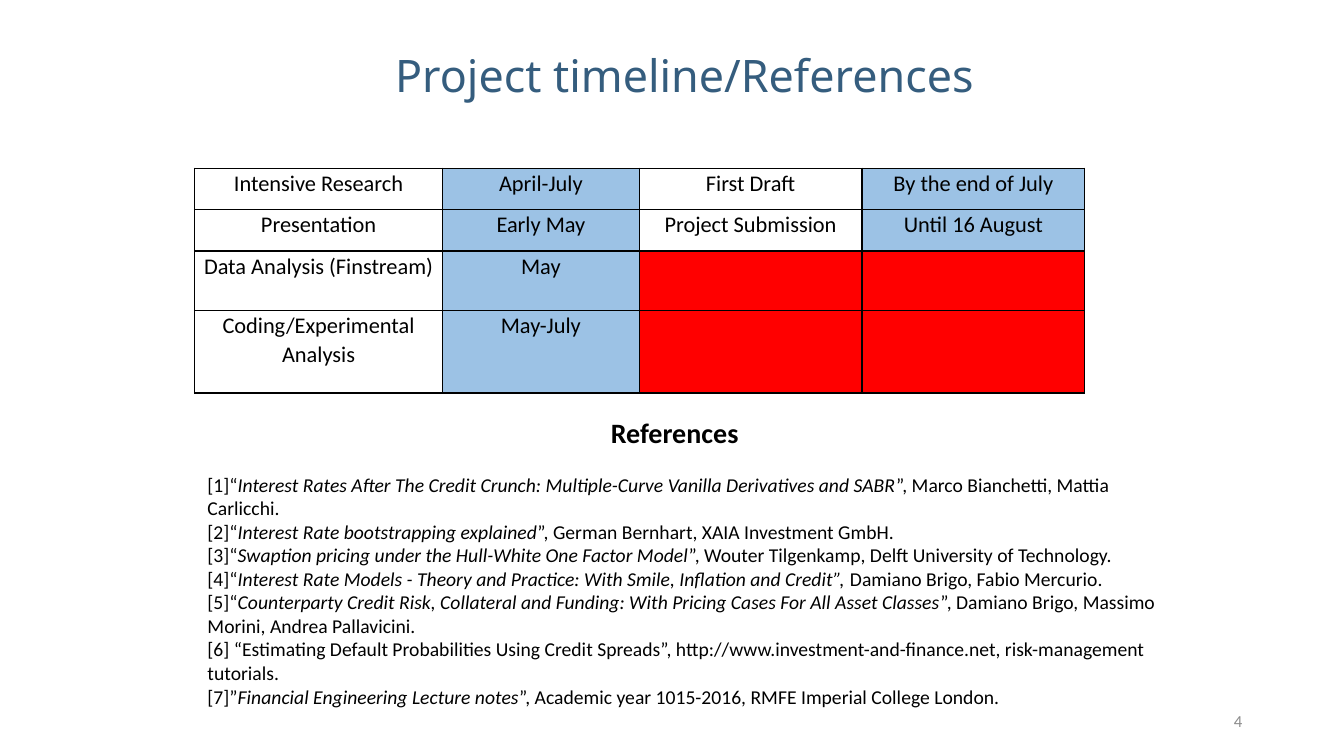
from lxml.etree import SubElement
from pptx import Presentation
from pptx.dml.color import RGBColor
from pptx.enum.text import MSO_ANCHOR as Anchor, MSO_AUTO_SIZE as AutoSize, PP_ALIGN as Align
from pptx.oxml.ns import qn
from pptx.util import Inches, Pt

# Content
TITLE = "Project timeline/References"
PAGE = "4"
TIMELINE = [
    ("Intensive Research", "April-July", "First Draft", "By the end of July"),
    ("Presentation", "Early May", "Project Submission", "Until 16 August"),
    ("Data Analysis (Finstream)", "May", "", ""),
    ("Coding/Experimental Analysis", "May-July", "", ""),
]
HEADING = "References"
REFERENCES = [  # lead, italic title, rest
    ("[1]“", "Interest Rates After The Credit Crunch: Multiple-Curve Vanilla Derivatives and SABR",
     "”, Marco Bianchetti, Mattia Carlicchi."),
    ("[2]“", "Interest Rate bootstrapping explained", "”, German Bernhart, XAIA Investment GmbH."),
    ("[3]“", "Swaption pricing under the Hull-White One Factor Model",
     "”, Wouter Tilgenkamp, Delft University of Technology."),
    ("[4]“", "Interest Rate Models - Theory and Practice: With Smile, Inflation and Credit”, ",
     "Damiano Brigo, Fabio Mercurio."),
    ("[5]“", "Counterparty Credit Risk, Collateral and Funding: With Pricing Cases For All Asset Classes",
     "”, Damiano Brigo, Massimo Morini, Andrea Pallavicini."),
    ("[6] “Estimating Default Probabilities Using Credit Spreads”, "
     "http://www.investment-and-finance.net, risk-management tutorials.", "", ""),
    ("[7]”", "Financial Engineering Lecture notes",
     "”, Academic year 1015-2016, RMFE Imperial College London."),
]
COLORS = {"title": "355D7E", "text": "000000", "page": "8C8C8C",
          "date": "9CC2E5", "unused": "FF0000", "border": "000000"}
COL_WIDTHS = [2.46, 1.95, 2.21, 2.21]
ROW_HEIGHTS = [0.41, 0.41, 0.59, 0.82]


def write(p, text, size=14, color="text", font="Calibri", bold=False, italic=False,
          align=None, spacing=None):
    r = p.add_run()
    r.text = text
    r.font.size, r.font.name = Pt(size), font
    r.font.bold, r.font.italic = bold, italic
    r.font.color.rgb = RGBColor.from_string(COLORS[color])
    if align is not None:
        p.alignment = align
    if spacing:
        p.line_spacing = spacing


def add_box(s, left, top, width, height):
    tf = s.shapes.add_textbox(*map(Inches, (left, top, width, height))).text_frame
    tf.word_wrap = True
    return tf


def add_borders(cell):
    tc_pr = cell._tc.get_or_add_tcPr()
    for side in ("lnL", "lnR", "lnT", "lnB"):
        ln = SubElement(tc_pr, qn("a:" + side), w=str(Pt(1)))
        fill = SubElement(ln, qn("a:solidFill"))
        SubElement(fill, qn("a:srgbClr"), val=COLORS["border"])


def main():
    prs = Presentation()
    prs.slide_width, prs.slide_height = Inches(13.33), Inches(7.5)
    s = prs.slides.add_slide(prs.slide_layouts[5])

    # Title
    sp = s.shapes.title
    sp.left, sp.top, sp.width, sp.height = map(Inches, (1.04, 0.09, 11.5, 0.97))
    tf = sp.text_frame
    tf.auto_size = AutoSize.NONE
    tf.vertical_anchor = Anchor.BOTTOM
    write(tf.paragraphs[0], TITLE, size=32, color="title", font="Noto Sans",
          align=Align.CENTER, spacing=0.9)

    # Timeline table
    table = s.shapes.add_table(len(TIMELINE), len(COL_WIDTHS), Inches(1.93), Inches(1.67),
                               Inches(sum(COL_WIDTHS)), Inches(sum(ROW_HEIGHTS))).table
    table.first_row = table.horz_banding = False
    for col, width in zip(table.columns, COL_WIDTHS):
        col.width = Inches(width)
    for i, (row, height) in enumerate(zip(TIMELINE, ROW_HEIGHTS)):
        table.rows[i].height = Inches(height)
        for j, text in enumerate(row):
            cell = table.cell(i, j)
            cell.margin_left = cell.margin_right = Inches(0.07)
            cell.margin_top = cell.margin_bottom = 0
            add_borders(cell)
            if text and j % 2 == 0:
                cell.fill.background()
            else:
                cell.fill.solid()
                cell.fill.fore_color.rgb = RGBColor.from_string(COLORS["date" if text else "unused"])
            if text:
                write(cell.text_frame.paragraphs[0], text, size=16, align=Align.CENTER, spacing=1.07)

    # References
    tf = add_box(s, 1.96, 4.07, 9.66, 3.03)
    p = tf.paragraphs[0]
    p._p.get_or_add_pPr().set("marL", str(Inches(4)))
    p.space_after = Pt(17)
    write(p, HEADING, size=20, bold=True)
    for reference in REFERENCES:
        p = tf.add_paragraph()
        for k, part in enumerate(reference):
            if part:
                write(p, part, italic=k == 1)

    # Page number
    tf = add_box(s, 9.42, 6.95, 3, 0.4)
    tf.vertical_anchor = Anchor.MIDDLE
    write(tf.paragraphs[0], PAGE, size=12, color="page", align=Align.RIGHT)

    prs.save("out.pptx")


if __name__ == "__main__":
    main()
